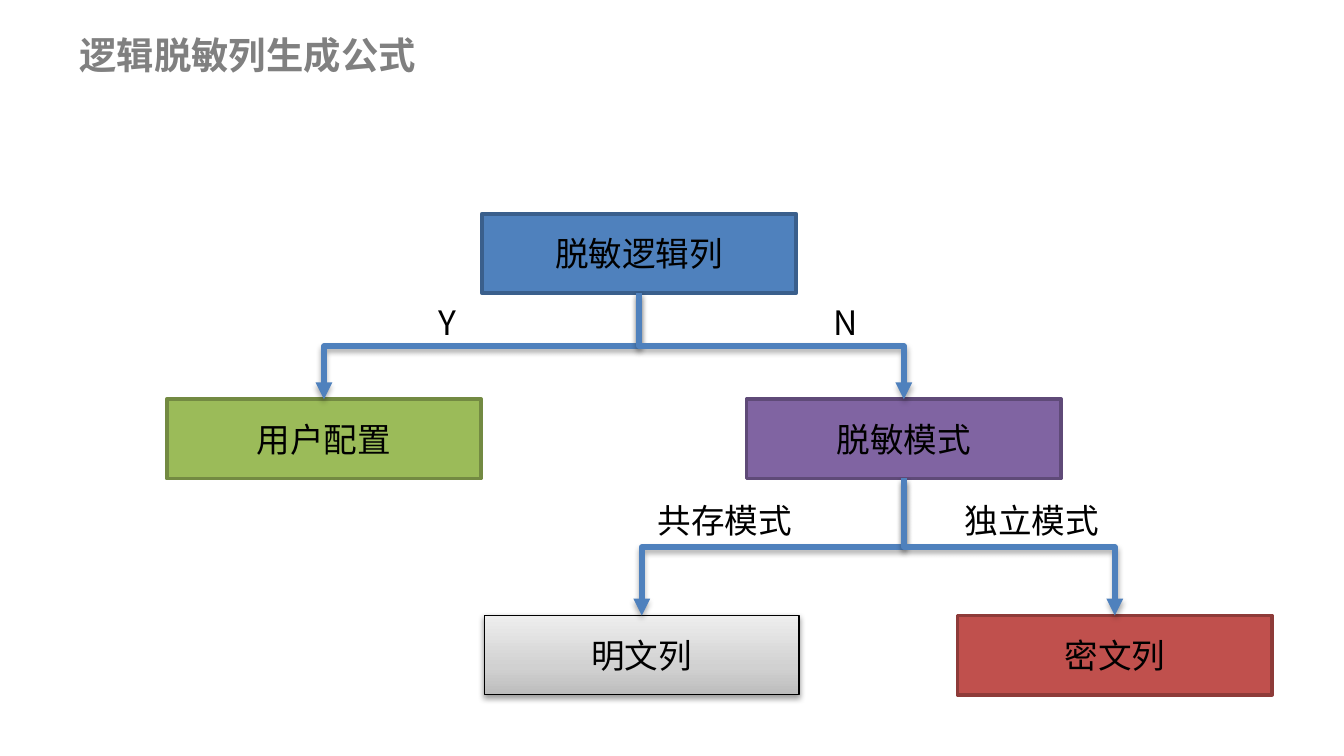
from collections import namedtuple
from copy import deepcopy
from dataclasses import dataclass

from lxml import etree
from pptx import Presentation
from pptx.dml.color import RGBColor
from pptx.enum.shapes import MSO_CONNECTOR, MSO_SHAPE
from pptx.enum.text import MSO_ANCHOR, MSO_AUTO_SIZE, PP_ALIGN
from pptx.oxml.ns import qn
from pptx.util import Pt

ELBOW = MSO_CONNECTOR.ELBOW
RECTANGLE = MSO_SHAPE.RECTANGLE
TOP, MIDDLE = MSO_ANCHOR.TOP, MSO_ANCHOR.MIDDLE
GROW = MSO_AUTO_SIZE.SHAPE_TO_FIT_TEXT
LEFT, CENTER = PP_ALIGN.LEFT, PP_ALIGN.CENTER
TITLE_ONLY = 5
EMU_PER_PX = 4572
NODE_WIDTH, NODE_HEIGHT, LABEL_HEIGHT = 468, 118, 80

Box = namedtuple("Box", "left top width height")
Node = namedtuple("Node", "text left top fill line font")
Branch = namedtuple("Branch", "parent child")
Label = namedtuple("Label", "text left top width")


@dataclass(frozen=True)
class Theme:
    """Colours, fonts and type sizes of the slide."""
    font: str = "Noto Sans CJK SC"
    root_font: str = "League Spartan"
    title_size: int = 20
    body_size: int = 18
    title: str = "808080"
    text: str = "000000"
    blue: str = "4F81BD"
    blue_line: str = "3A5F8C"
    green: str = "9BBB59"
    green_line: str = "738A42"
    purple: str = "8064A2"
    purple_line: str = "5F4A78"
    red: str = "C0504D"
    red_line: str = "8E3B39"
    grey_stops: tuple = ((0, "BDBDBD"), (0.35, "D1D1D1"), (1, "EEEEEE"))


THEME = Theme()
NODES = {
    "root": Node("脱敏逻辑列", 469, 0, THEME.blue, THEME.blue_line, THEME.root_font),
    "user": Node("用户配置", 0, 276, THEME.green, THEME.green_line, THEME.font),
    "mode": Node("脱敏模式", 863, 276, THEME.purple, THEME.purple_line, THEME.font),
    "plain": Node("明文列", 473, 598, THEME.grey_stops, THEME.text, THEME.font),
    "cipher": Node("密文列", 1177, 598, THEME.red, THEME.red_line, THEME.font),
}
BRANCHES = [Branch("root", "user"), Branch("root", "mode"),
            Branch("mode", "plain"), Branch("mode", "cipher")]
LABELS = [Label("Y", 385, 122, 70), Label("N", 972, 122, 82),
          Label("共存模式", 711, 416, 242), Label("独立模式", 1168, 416, 242)]


def px(length):
    """Turn px into EMU."""
    return round(length * EMU_PER_PX)


def rgb(color):
    """Turn a hex string into a colour."""
    return RGBColor.from_string(color)


def write_text(shape, text, size, color, font=THEME.font, align=LEFT, bold=False):
    """Write one formatted paragraph into a shape."""
    paragraph = shape.text_frame.paragraphs[0]
    paragraph.text = text
    paragraph.alignment = align
    paragraph.font.size = Pt(size)
    paragraph.font.bold = bold
    paragraph.font.name = font
    paragraph.font.color.rgb = rgb(color)
    properties = paragraph.font.fill._xPr
    latin = properties.find(qn("a:latin"))
    latin.addnext(properties.makeelement(qn("a:ea"), {"typeface": THEME.font}))


def add_shadow(effects, distance, opacity):
    """Put a soft downward shadow into an effect list."""
    shadow = etree.SubElement(effects, qn("a:outerShdw"), blurRad="40000",
                              dist=str(distance), dir="5400000", rotWithShape="0")
    color = etree.SubElement(shadow, qn("a:srgbClr"), val=THEME.text)
    etree.SubElement(color, qn("a:alpha"), val=str(opacity * 1000))


def fill_gradient(shape, stops):
    """Fill a shape with an upward gradient."""
    shape.fill.gradient()
    stop_list = shape.element.spPr.find(qn("a:gradFill")).find(qn("a:gsLst"))
    stop_list.insert(1, deepcopy(stop_list[0]))
    shape.fill.gradient_angle = 90
    for stop, (position, color) in zip(shape.fill.gradient_stops, stops):
        stop.position = position
        stop.color.rgb = rgb(color)


def add_title(slide, box, text):
    """Place the title placeholder in its box."""
    title = slide.shapes.title
    title.left, title.top, title.width, title.height = map(px, box)
    frame = title.text_frame
    frame.word_wrap = False
    frame.auto_size = GROW
    frame.vertical_anchor = TOP
    frame.margin_left = frame.margin_right = px(15)
    frame.margin_top = frame.margin_bottom = px(8)
    write_text(title, text, THEME.title_size, THEME.title, bold=True)


def add_node(slide, box, node):
    """Add one labelled rectangle of the tree."""
    shape = slide.shapes.add_shape(RECTANGLE, px(box.left + node.left), px(box.top + node.top),
                                   px(NODE_WIDTH), px(NODE_HEIGHT))
    shape.shadow.inherit = False
    shape.line.color.rgb = rgb(node.line)
    if isinstance(node.fill, tuple):
        fill_gradient(shape, node.fill)
        shape.line.width = Pt(0.75)
        add_shadow(shape.element.spPr.find(qn("a:effectLst")), 20000, 38)
    else:
        shape.fill.solid()
        shape.fill.fore_color.rgb = rgb(node.fill)
        shape.line.width = Pt(2)
    shape.text_frame.vertical_anchor = MIDDLE
    write_text(shape, node.text, THEME.body_size, THEME.text, node.font, CENTER)


def add_branch(slide, box, parent, child):
    """Add an elbow arrow from the foot of one node to the head of another."""
    start_x = box.left + parent.left + NODE_WIDTH / 2
    end_x = box.left + child.left + NODE_WIDTH / 2
    start_y = box.top + parent.top + NODE_HEIGHT
    end_y = box.top + child.top
    center_x, center_y = (start_x + end_x) / 2, (start_y + end_y) / 2
    half_drop, half_span = (end_y - start_y) / 2, abs(end_x - start_x) / 2
    direction = 1 if end_x < start_x else -1
    arrow = slide.shapes.add_connector(
        ELBOW, px(center_x - direction * half_drop), px(center_y - half_span),
        px(center_x + direction * half_drop), px(center_y + half_span))
    arrow.line.color.rgb = rgb(THEME.blue)
    arrow.line.width = Pt(3)
    properties = arrow.element.spPr
    properties.find(qn("a:xfrm")).set("rot", str(direction * 90 % 360 * 60000))
    etree.SubElement(properties.find(qn("a:ln")), qn("a:tailEnd"), type="triangle")
    add_shadow(etree.SubElement(properties, qn("a:effectLst")), 23000, 35)


def add_label(slide, box, label):
    """Add the text beside a branch."""
    shape = slide.shapes.add_textbox(px(box.left + label.left), px(box.top + label.top),
                                     px(label.width), px(LABEL_HEIGHT))
    shape.text_frame.word_wrap = False
    shape.text_frame.auto_size = GROW
    write_text(shape, label.text, THEME.body_size, THEME.text)


def add_tree(slide, box):
    """Draw the decision tree inside its box."""
    for node in NODES.values():
        add_node(slide, box, node)
    for branch in BRANCHES:
        add_branch(slide, box, NODES[branch.parent], NODES[branch.child])
    for label in LABELS:
        add_label(slide, box, label)


def main():
    """Build and save the presentation."""
    presentation = Presentation()
    presentation.slide_width, presentation.slide_height = px(2000), px(1125)
    slide = presentation.slides.add_slide(presentation.slide_layouts[TITLE_ONLY])
    add_title(slide, Box(103, 40, 536, 82), "逻辑脱敏列生成公式")
    add_tree(slide, Box(248, 318, 1645, 716))
    presentation.save("out.pptx")


if __name__ == "__main__":
    main()
